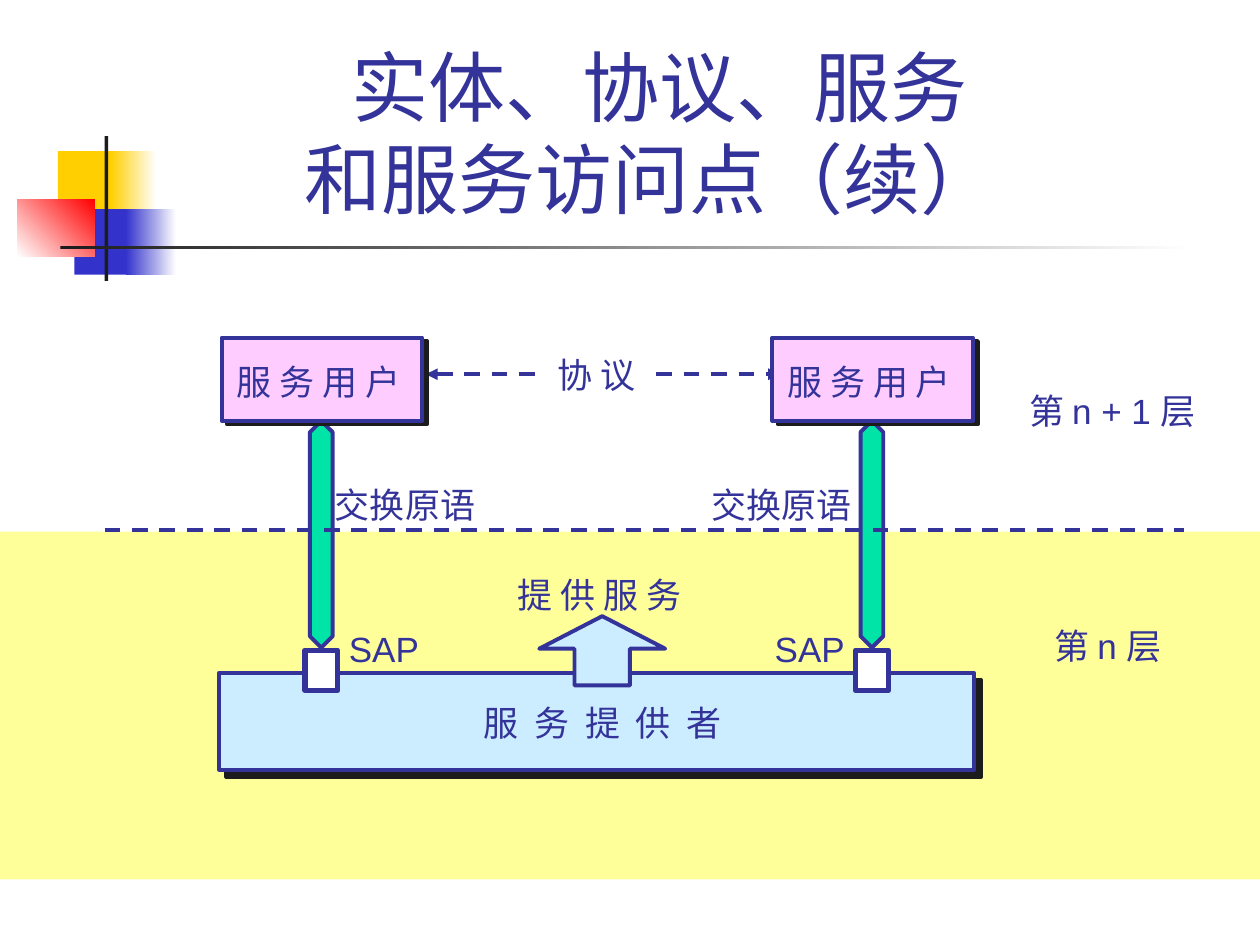
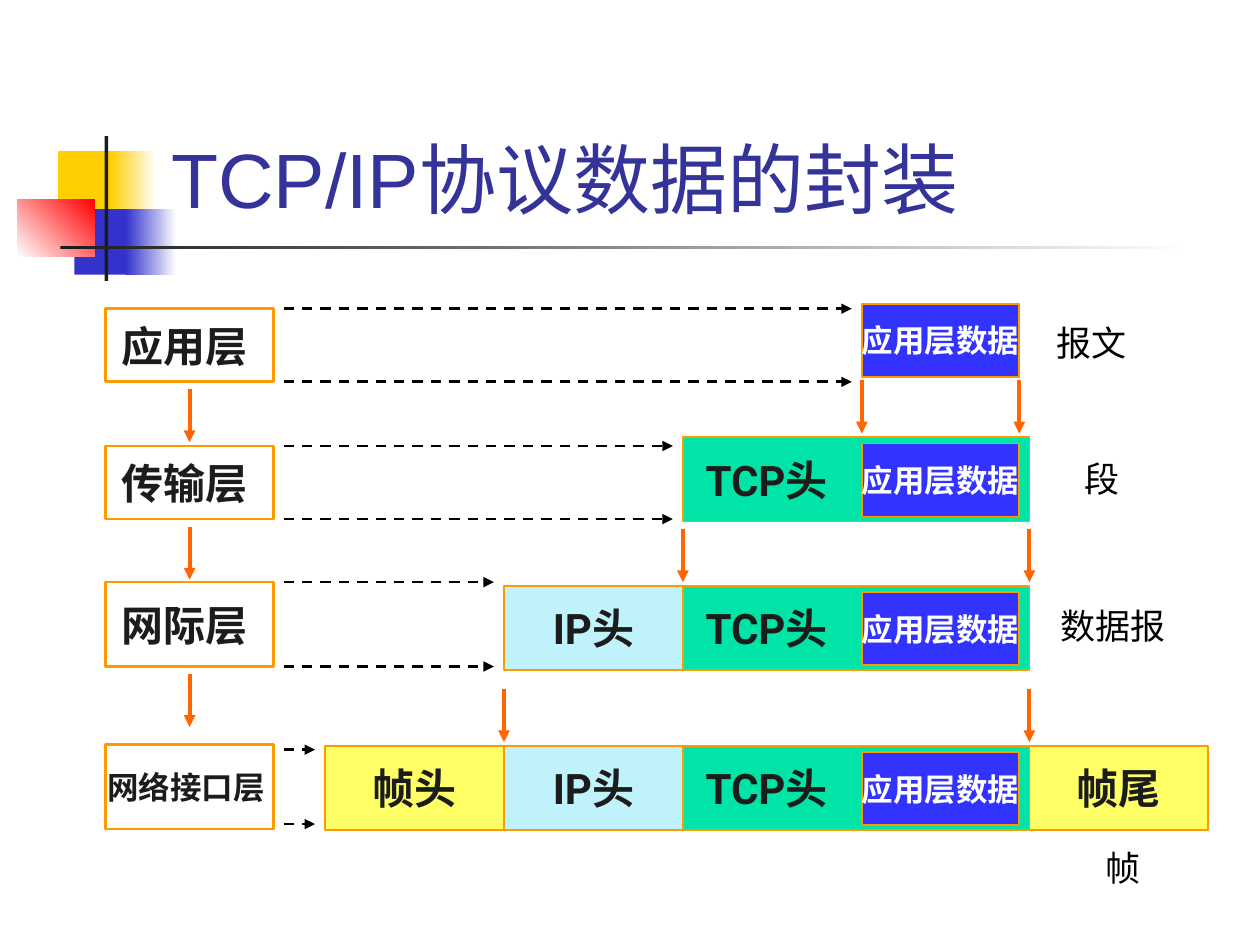
from lxml.etree import SubElement
from pptx import Presentation
from pptx.dml.color import RGBColor
from pptx.enum.dml import MSO_LINE
from pptx.enum.lang import MSO_LANGUAGE_ID
from pptx.enum.shapes import MSO_CONNECTOR, MSO_SHAPE
from pptx.enum.text import MSO_ANCHOR, MSO_AUTO_SIZE, PP_ALIGN
from pptx.oxml.ns import qn
from pptx.util import Inches, Pt

COLORS = {
    "ink": "333399", "white": "FFFFFF", "black": "000000", "dark": "1C1C1C",
    "gold": "FFCF01", "blue": "3333CC", "red": "FF0000", "band": "FFFF99",
    "pink": "FFCCFF", "sky": "CCECFF", "green": "00E4A8", "data": "3333FF",
    "ip": "C0F2FC", "frame": "FFFF66", "border": "FF9900", "arrow": "FF6600",
}

DECOR = [
    ((0.46, 1.2, 0.48, 0.52), ("gold",), 0),
    ((0.88, 1.2, 0.36, 0.52), ("gold", "white"), 0),
    ((0.59, 1.66, 0.46, 0.52), ("blue",), 0),
    ((1, 1.66, 0.4, 0.52), ("blue", "white"), 0),
    ((0.14, 1.58, 0.61, 0.46), ("white", "red"), 45),
    ((0.83, 1.08, 0.03, 1.15), ("dark",), 0),
    ((0.48, 1.95, 9, 0.03), ("dark", "white"), 0),
]

SERVICE_TITLE = "实体、协议、服务\v和服务访问点（续） "
USER = "服 务 用 户"
PRIMITIVE = "交换原语"
SAP = "SAP"
SIDES = [
    {"user": 1.76, "primitive": 2.56, "sap": 2.67},
    {"user": 6.13, "primitive": 5.55, "sap": 6.05},
]
SERVICE_LABELS = [
    ("提 供 服 务", (4.01, 4.5, 1.54, 0.43), False),
    ("服  务  提  供  者", (3.74, 5.52, 2.2, 0.43), False),
    ("第 n 层", (8.27, 4.91, 1.06, 0.43), True),
    ("第 n + 1 层", (8.07, 3.04, 1.53, 0.43), True),
]

PACKET_TITLE = "TCP/IP协议数据的封装"
LAYERS = [
    {"name": "应用层 ", "size": 24, "top": 2.45, "height": 0.58, "packet": 2.36,
     "unit": "报文", "unit_at": (8.25, 2.5, 0.83, 0.43)},
    {"name": "传输层 ", "size": 24, "top": 3.54, "height": 0.58, "packet": 3.47,
     "unit": "段", "unit_at": (8.33, 3.58, 0.83, 0.43)},
    {"name": "网际层 ", "size": 24, "top": 4.62, "height": 0.67, "packet": 4.65,
     "unit": "数据报", "unit_at": (8.25, 4.75, 1.17, 0.43)},
    {"name": "网络接口层 ", "size": 18, "top": 5.91, "height": 0.67, "packet": 5.92,
     "unit": "帧", "unit_at": (8.5, 6.67, 0.83, 0.43)},
]
HEADERS = [("TCP头", "green"), ("IP头", "ip"), ("帧头", "frame")]
TRAILER = "帧尾"
DATA = "应用层数据"
DATA_LEFT, DATA_WIDTH, DATA_HEIGHT = 6.84, 1.25, 0.58
PART_WIDTH, PART_HEIGHT, BODY_RIGHT = 1.42, 0.67, 8.17
LAYER_LEFT, LAYER_WIDTH = 0.84, 1.33


def rgb(name):
    return RGBColor.from_string(COLORS[name])


def write(frame, text, size=20, font="Arial", color="ink", bold=False,
          align=PP_ALIGN.LEFT, anchor=MSO_ANCHOR.TOP, wrap=False, inset=0.1):
    frame.auto_size = MSO_AUTO_SIZE.NONE
    frame.word_wrap = wrap
    frame.vertical_anchor = anchor
    frame.margin_left = frame.margin_right = Inches(inset)
    paragraph = frame.paragraphs[0]
    paragraph.text = text
    paragraph.alignment = align
    for run in paragraph.runs:
        run.font.size = Pt(size)
        run.font.name = font
        run.font.bold = bold
        run.font.color.rgb = rgb(color)
        run.font.language_id = MSO_LANGUAGE_ID.SIMPLIFIED_CHINESE


def label(slide, text, at, **style):
    box = slide.shapes.add_textbox(*map(Inches, at))
    write(box.text_frame, text, **style)
    return box


def block(slide, at, fill, line=None, width=2.25, kind=MSO_SHAPE.RECTANGLE,
          adjust=(), angle=0, shadow=None):
    shape = slide.shapes.add_shape(kind, *map(Inches, at))
    shape.shadow.inherit = False
    for index, value in enumerate(adjust):
        shape.adjustments[index] = value
    if len(fill) == 2:
        shape.fill.gradient()
        shape.fill.gradient_angle = angle
        for stop, color, place in zip(shape.fill.gradient_stops, fill, (0, 1)):
            stop.color.rgb = rgb(color)
            stop.position = place
    else:
        shape.fill.solid()
        shape.fill.fore_color.rgb = rgb(fill[0])
    if line:
        shape.line.color.rgb = rgb(line)
        shape.line.width = Pt(width)
    else:
        shape.line.fill.background()
    if shadow:
        distance, direction = shadow
        effects = shape._element.spPr.find(qn("a:effectLst"))
        outer = SubElement(effects, qn("a:outerShdw"), blurRad="0",
                           dist=str(Pt(distance)), dir=str(direction * 60000),
                           algn="ctr", rotWithShape="0")
        SubElement(outer, qn("a:srgbClr"), val=COLORS["dark"])
    return shape


def connect(slide, start, end, color, width=2.25, dash=False, ends=("tailEnd",)):
    link = slide.shapes.add_connector(
        MSO_CONNECTOR.STRAIGHT, *map(Inches, (*start, *end)))
    link.line.color.rgb = rgb(color)
    link.line.width = Pt(width)
    if dash:
        link.line.dash_style = MSO_LINE.DASH
    for end_name in ends:
        SubElement(link.line._get_or_add_ln(), qn("a:" + end_name), type="triangle")
    SubElement(link._element.spPr, qn("a:effectLst"))


def start_slide(deck, title, at, align):
    slide = deck.slides.add_slide(deck.slide_layouts[5])
    for place, fill, angle in DECOR:
        block(slide, place, fill, angle=angle)
    heading = slide.shapes.title
    heading.left, heading.top, heading.width, heading.height = map(Inches, at)
    write(heading.text_frame, title, size=44, align=align,
          anchor=MSO_ANCHOR.BOTTOM, wrap=True)
    return slide


def build_service(deck):
    slide = start_slide(deck, SERVICE_TITLE, (1.22, 0.23, 8.03, 1.6), PP_ALIGN.CENTER)
    block(slide, (0, 4.22, 10, 2.76), ("band",))
    connect(slide, (3.38, 2.97), (6.19, 2.97), "ink", dash=True,
            ends=("headEnd", "tailEnd"))
    protocol = label(slide, "协 议", (4.33, 2.76, 0.83, 0.43))
    protocol.fill.solid()
    protocol.fill.fore_color.rgb = rgb("white")

    for side in SIDES:
        user = side["user"]
        label(slide, PRIMITIVE, (side["primitive"], 3.79, 1.31, 0.43))
        block(slide, (user + 0.7, 3.34, 0.18, 1.8), ("green",), "ink",
              kind=MSO_SHAPE.UP_DOWN_ARROW, adjust=(0.5, 2.02))
        block(slide, (user, 2.68, 1.59, 0.66), ("pink",), "ink", shadow=(3.6, 34))
        label(slide, USER, (user + 0.02, 2.81, 1.54, 0.43))

    block(slide, (1.74, 5.34, 5.99, 0.77), ("sky",), "ink", shadow=(5.7, 45))
    block(slide, (4.28, 4.89, 1, 0.55), ("sky",), "ink",
          kind=MSO_SHAPE.UP_ARROW, adjust=(0.44, 0.47))
    connect(slide, (0.83, 4.21), (9.4, 4.21), "ink", dash=True, ends=())
    for text, at, wrap in SERVICE_LABELS:
        label(slide, text, at, wrap=wrap)
    for side in SIDES:
        block(slide, (side["user"] + 0.66, 5.16, 0.26, 0.32), ("white",), "ink", 3)
        label(slide, SAP, (side["sap"], 4.93, 0.76, 0.43))


def build_packets(deck):
    slide = start_slide(deck, PACKET_TITLE, (1.26, 0.23, 8.52, 1.6), PP_ALIGN.LEFT)

    def part(text, at, fill, size=24, color="dark", width=1,
             align=PP_ALIGN.CENTER, inset=0):
        shape = block(slide, at, (fill,), "border", width)
        write(shape.text_frame, text, size=size, font="Roboto", color=color,
              bold=True, align=align, anchor=MSO_ANCHOR.MIDDLE,
              wrap=align == PP_ALIGN.LEFT, inset=inset)

    def left_edge(count):
        return DATA_LEFT - count * PART_WIDTH

    for row, layer in enumerate(LAYERS):
        top, height, packet = layer["top"], layer["height"], layer["packet"]
        bottom = top + height
        part(layer["name"], (LAYER_LEFT, top, LAYER_WIDTH, height), "white",
             size=layer["size"], width=1.5)

        for index, (text, fill) in enumerate(HEADERS[:row]):
            left = left_edge(index + 1)
            if index == 0:
                part(text, (left, packet, BODY_RIGHT - left, PART_HEIGHT), fill,
                     align=PP_ALIGN.LEFT, inset=0.18)
            else:
                part(text, (left, packet, PART_WIDTH, PART_HEIGHT), fill)
        part(DATA, (DATA_LEFT, packet + 0.05, DATA_WIDTH, DATA_HEIGHT), "data",
             size=18, color="white")

        last = row == len(LAYERS) - 1
        if last:
            part(TRAILER, (BODY_RIGHT, packet, PART_WIDTH, PART_HEIGHT), "frame")
        inward = 0.04 if last else 0
        for y in (top + inward, bottom - inward):
            connect(slide, (2.25, y), (left_edge(row) - 0.08, y), "black", 1.5, dash=True)
        if not last:
            center = LAYER_LEFT + LAYER_WIDTH / 2
            connect(slide, (center, bottom + 0.06), (center, bottom + 0.48), "arrow")
        if row:
            right = DATA_LEFT + DATA_WIDTH if row == 1 else BODY_RIGHT
            for x in (left_edge(row - 1), right):
                connect(slide, (x, packet - 0.45), (x, packet - 0.03), "arrow")
        label(slide, layer["unit"], layer["unit_at"], font="Cabin", color="black",
              align=PP_ALIGN.CENTER, wrap=True)


def main():
    deck = Presentation()
    deck.slide_width, deck.slide_height = Inches(10), Inches(7.5)
    build_service(deck)
    build_packets(deck)
    deck.save("out.pptx")


if __name__ == "__main__":
    main()
